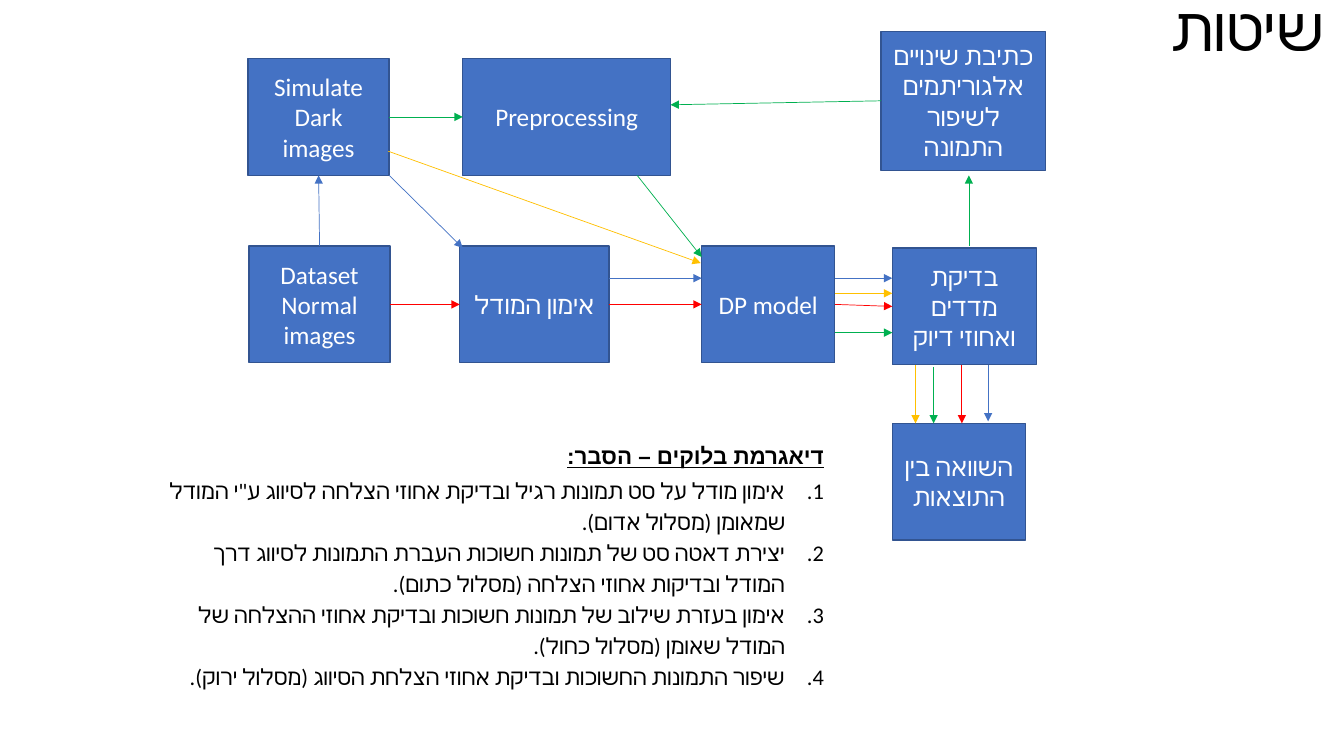
from dataclasses import dataclass

from lxml import etree
from pptx import Presentation
from pptx.dml.color import RGBColor
from pptx.enum.shapes import MSO_CONNECTOR, MSO_SHAPE
from pptx.enum.text import MSO_ANCHOR, MSO_AUTO_SIZE, PP_ALIGN
from pptx.oxml.ns import qn
from pptx.util import Pt

STRAIGHT, RECTANGLE = MSO_CONNECTOR.STRAIGHT, MSO_SHAPE.RECTANGLE
MIDDLE, TOP_ANCHOR = MSO_ANCHOR.MIDDLE, MSO_ANCHOR.TOP
CENTER, RIGHT_ALIGN = PP_ALIGN.CENTER, PP_ALIGN.RIGHT
GROW = MSO_AUTO_SIZE.SHAPE_TO_FIT_TEXT
TOP, LEFT, BOTTOM, RIGHT = range(4)
EMU_PER_PX = 9144  # 100 px to the inch


@dataclass(frozen=True)
class Theme:
    text: str = "000000"
    block_text: str = "FFFFFF"
    block: str = "4472C4"
    block_edge: str = "325491"
    red: str = "FF0000"
    orange: str = "FFC000"
    blue: str = "4472C4"
    green: str = "00B050"
    body_font: str = "Calibri"
    heading_font: str = "Arial"
    title_size: int = 44
    block_size: int = 18
    body_size: int = 16
    edge_width: float = 1
    route_width: float = 0.5


THEME = Theme()

# Block: left, top, width, height inside the diagram, then paragraphs
BLOCKS = {
    "simulate": (0, 27, 140, 116, ["Simulate Dark images"]),
    "preprocess": (213, 27, 206, 116, ["Preprocessing"]),
    "improve": (628, 0, 163, 138, ["כתיבת שינויים אלגוריתמים לשיפור התמונה"]),
    "dataset": (1, 213, 140, 116, ["Dataset Normal", "images"]),
    "training": (210, 213, 148, 116, ["אימון המודל"]),
    "model": (450, 213, 132, 116, ["DP model"]),
    "metrics": (639, 215, 143, 116, ["בדיקת מדדים ואחוזי דיוק"]),
    "compare": (639, 389, 132, 116, ["השוואה בין התוצאות"]),
}

# Each end is (block, side) or a point (x, y) inside the diagram
ROUTES = {
    THEME.red: [
        (("dataset", RIGHT), ("training", LEFT)),
        (("training", RIGHT), ("model", LEFT)),
        (("model", RIGHT), ("metrics", LEFT)),
        ((708, 331), (708, 389)),
    ],
    THEME.orange: [
        ((139, 119), (449, 230)),
        ((582, 260), (639, 260)),
        ((662, 331), (662, 389)),
    ],
    THEME.blue: [
        (("dataset", TOP), ("simulate", BOTTOM)),
        ((140, 143), (213, 215)),
        ((358, 245), (450, 245)),
        ((582, 245), (639, 245)),
        ((734, 331), (734, 387)),
    ],
    THEME.green: [
        (("simulate", RIGHT), ("preprocess", LEFT)),
        ((386, 143), (450, 224)),
        ((582, 299), (639, 299)),
        ((680, 333), (680, 389)),
        ((715, 213), (715, 143)),
        (("improve", LEFT), (419, 73)),
    ],
}

HEADING = "דיאגרמת בלוקים – הסבר:"
STEPS = [
    'אימון מודל על סט תמונות רגיל ובדיקת אחוזי הצלחה לסיווג ע"י המודל שמאומן (מסלול אדום).',
    "יצירת דאטה סט של תמונות חשוכות העברת התמונות לסיווג דרך המודל ובדיקות אחוזי הצלחה (מסלול כתום).",
    "אימון בעזרת שילוב של תמונות חשוכות ובדיקת אחוזי ההצלחה של המודל שאומן (מסלול כחול).",
    "שיפור התמונות החשוכות ובדיקת אחוזי הצלחת הסיווג (מסלול ירוק).",
]


def px(*lengths):
    return [length * EMU_PER_PX for length in lengths]


def apply_format(target, values):
    for name, value in values.items():
        setattr(target, name, value)


def write_paragraph(paragraph, text, size, color, font=THEME.body_font, rtl=True, style=None, **layout):
    """Fill a paragraph; style goes to the font, layout to the paragraph."""
    apply_format(paragraph, layout)
    if rtl:
        paragraph._p.get_or_add_pPr().set("rtl", "1")
    run = paragraph.add_run()
    run.text = text
    apply_format(run.font, {"size": Pt(size), "name": font, **(style or {})})
    run.font.color.rgb = RGBColor.from_string(color)
    complex_script = etree.SubElement(run._r.get_or_add_rPr(), qn("a:cs"))
    complex_script.set("typeface", font)


def next_paragraph(frame, index):
    return frame.add_paragraph() if index else frame.paragraphs[0]


def number_paragraph(paragraph, indent):
    properties = paragraph._p.get_or_add_pPr()
    properties.set("marL", str(indent))
    properties.set("indent", str(-indent))
    etree.SubElement(properties, qn("a:buFont")).set("typeface", "+mj-lt")
    etree.SubElement(properties, qn("a:buAutoNum")).set("type", "arabicPeriod")


def add_text_frame(slide, box, anchor):
    frame = slide.shapes.add_textbox(*px(*box)).text_frame
    apply_format(frame, {"word_wrap": True, "vertical_anchor": anchor})
    return frame


def add_title(slide, box):
    frame = add_text_frame(slide, box, MIDDLE)
    write_paragraph(frame.paragraphs[0], "שיטות", THEME.title_size, THEME.text,
                    rtl=False, alignment=RIGHT_ALIGN, line_spacing=0.9)


def add_block(slide, box, lines):
    block = slide.shapes.add_shape(RECTANGLE, *px(*box))
    block.shadow.inherit = False
    block.fill.solid()
    block.fill.fore_color.rgb = RGBColor.from_string(THEME.block)
    block.line.color.rgb = RGBColor.from_string(THEME.block_edge)
    block.line.width = Pt(THEME.edge_width)
    frame = block.text_frame
    apply_format(frame, {"word_wrap": True, "vertical_anchor": MIDDLE})
    for index, line in enumerate(lines):
        write_paragraph(next_paragraph(frame, index), line, THEME.block_size,
                        THEME.block_text, alignment=CENTER)
    return block


def add_route(slide, origin, blocks, start, end, color):
    """Draw an arrow, joined to a block wherever an end names one."""
    points = [origin if end_[0] in blocks else (origin[0] + end_[0], origin[1] + end_[1])
              for end_ in (start, end)]
    arrow = slide.shapes.add_connector(STRAIGHT, *px(*points[0], *points[1]))
    for place, join in ((start, arrow.begin_connect), (end, arrow.end_connect)):
        if place[0] in blocks:
            join(blocks[place[0]], place[1])
    arrow.line.color.rgb = RGBColor.from_string(color)
    arrow.line.width = Pt(THEME.route_width)
    etree.SubElement(arrow.line._get_or_add_ln(), qn("a:tailEnd")).set("type", "triangle")
    etree.SubElement(arrow._element.spPr, qn("a:effectLst"))


def add_diagram(slide, origin):
    left, top = origin
    blocks = {name: add_block(slide, (left + x, top + y, width, height), lines)
              for name, (x, y, width, height, lines) in BLOCKS.items()}
    for color, routes in ROUTES.items():
        for start, end in routes:
            add_route(slide, origin, blocks, start, end, color)


def add_explanation(slide, box):
    frame = add_text_frame(slide, box, TOP_ANCHOR)
    frame.auto_size = GROW
    write_paragraph(frame.paragraphs[0], HEADING, THEME.body_size, THEME.text,
                    THEME.heading_font, style={"bold": True, "underline": True},
                    alignment=RIGHT_ALIGN, space_before=Pt(12), space_after=Pt(3))
    for step in STEPS:
        paragraph = frame.add_paragraph()
        write_paragraph(paragraph, step, THEME.body_size, THEME.text,
                        alignment=RIGHT_ALIGN, line_spacing=1.15,
                        space_after=Pt(10 if step == STEPS[-1] else 0))
        number_paragraph(paragraph, *px(38))


def main():
    deck = Presentation()
    deck.slide_width, deck.slide_height = px(1333, 750)
    slide = deck.slides.add_slide(deck.slide_layouts[6])
    add_title(slide, (1115, -12, 208, 87))
    add_diagram(slide, (246, 31))
    add_explanation(slide, (151, 434, 676, 256))
    deck.save("out.pptx")


if __name__ == "__main__":
    main()
